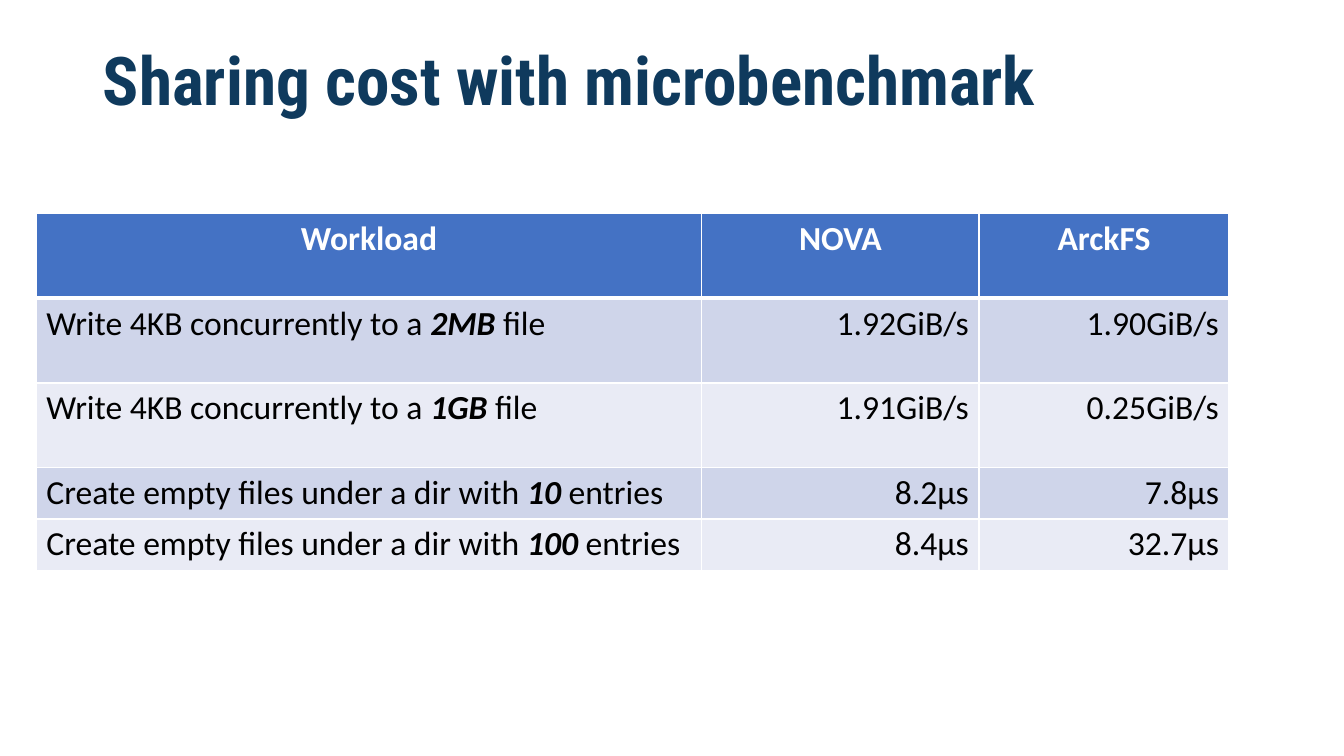
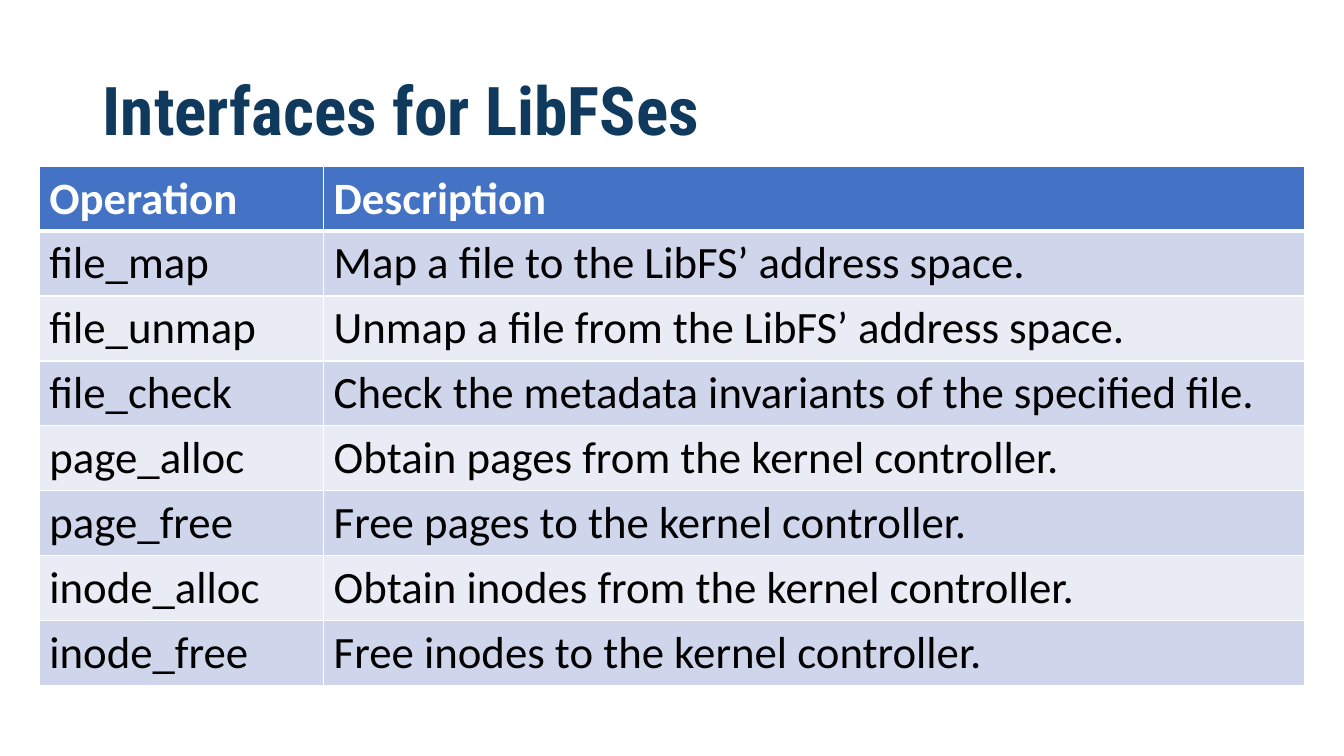
"""Build two table slides about file system sharing cost and interfaces."""
import dataclasses

import lxml.etree
import pptx
import pptx.dml.color
import pptx.enum.text
import pptx.oxml.ns
import pptx.presentation
import pptx.slide
import pptx.table
import pptx.text.text
import pptx.util

Inches = pptx.util.Inches
Align = pptx.enum.text.PP_ALIGN

TITLE_FONT, BODY_FONT = "Roboto Condensed", "Calibri"
NAVY, HEADER_BLUE, WHITE, BLACK = "0F3A5D", "4472C4", "FFFFFF", "000000"
BANDS = ("CFD5EA", "E9EBF5")
EMPHASIS = "*"


@dataclasses.dataclass(frozen=True)
class Column:
    """A table column: heading, width in inches and alignments."""

    heading: str
    width: float
    heading_align: Align = Align.LEFT
    align: Align = Align.LEFT


@dataclasses.dataclass(frozen=True)
class TableSlide:
    """A titled slide with one table; lengths are in inches."""

    title: str
    title_box: tuple[float, float, float, float]
    table_corner: tuple[float, float]
    columns: tuple[Column, ...]
    row_heights: tuple[float, ...]
    records: tuple[tuple[str, ...], ...]
    text_size: int


SHARING_COST = TableSlide(
    title="Sharing cost with microbenchmark",
    title_box=(0.92, 0.4, 11.63, 0.87),
    table_corner=(0.36, 2.12),
    columns=(
        Column("Workload", 6.6, Align.CENTER),
        Column("NOVA", 2.75, Align.CENTER, Align.RIGHT),
        Column("ArckFS", 2.48, Align.CENTER, Align.RIGHT),
    ),
    row_heights=(0.84,) * 3 + (0.51,) * 2,
    records=(
        ("Write 4KB concurrently to a *2MB* file", "1.92GiB/s", "1.90GiB/s"),
        ("Write 4KB concurrently to a *1GB* file", "1.91GiB/s", "0.25GiB/s"),
        ("Create empty files under a dir with *10* entries", "8.2μs", "7.8μs"),
        ("Create empty files under a dir with *100* entries", "8.4μs", "32.7μs"),
    ),
    text_size=24,
)

INTERFACES = TableSlide(
    title="Interfaces for LibFSes",
    title_box=(0.92, 0.4, 11.5, 1.45),
    table_corner=(0.39, 1.65),
    columns=(Column("Operation", 2.82), Column("Description", 9.73)),
    row_heights=(0.64,) * 8,
    records=(
        ("file_map", "Map a file to the LibFS’ address space."),
        ("file_unmap", "Unmap a file from the LibFS’ address space."),
        ("file_check", "Check the metadata invariants of the specified file."),
        ("page_alloc", "Obtain pages from the kernel controller."),
        ("page_free", "Free pages to the kernel controller."),
        ("inode_alloc", "Obtain inodes from the kernel controller."),
        ("inode_free", "Free inodes to the kernel controller."),
    ),
    text_size=32,
)


def rgb(color: str) -> pptx.dml.color.RGBColor:
    """Turn a hex string into a colour."""
    return pptx.dml.color.RGBColor.from_string(color)


def write_text(
    frame: pptx.text.text.TextFrame,
    text: str,
    *,
    font: str = BODY_FONT,
    size: int,
    color: str = BLACK,
    bold: bool = False,
    align: Align = Align.LEFT,
    line_spacing: float | None = None,
) -> None:
    """Write one paragraph, with starred parts in bold italics."""
    paragraph = frame.paragraphs[0]
    paragraph.alignment = align
    paragraph.line_spacing = line_spacing
    for index, part in enumerate(text.split(EMPHASIS)):
        emphasized = index % 2 == 1
        run = paragraph.add_run()
        run.text = part
        run.font.name = font
        run.font.size = pptx.util.Pt(size)
        run.font.color.rgb = rgb(color)
        run.font.bold = bold or emphasized
        run.font.italic = emphasized


def set_borders(cell: pptx.table._Cell, color: str, widths: dict[str, int]) -> None:
    """Draw the cell borders, with widths in points by side."""
    qn = pptx.oxml.ns.qn
    properties = cell._tc.get_or_add_tcPr()
    for side in ("L", "R", "T", "B"):
        width = str(int(pptx.util.Pt(widths.get(side, 1))))
        line = lxml.etree.SubElement(properties, qn(f"a:ln{side}"), w=width)
        fill = lxml.etree.SubElement(line, qn("a:solidFill"))
        lxml.etree.SubElement(fill, qn("a:srgbClr"), val=color)


def add_title(slide: pptx.slide.Slide, content: TableSlide) -> None:
    """Place and format the slide title."""
    title = slide.shapes.title
    title.left, title.top, title.width, title.height = map(Inches, content.title_box)
    frame = title.text_frame
    frame.word_wrap = True
    frame.auto_size = pptx.enum.text.MSO_AUTO_SIZE.NONE
    frame.vertical_anchor = pptx.enum.text.MSO_ANCHOR.MIDDLE
    write_text(frame, content.title, font=TITLE_FONT, size=48, color=NAVY,
               bold=True, line_spacing=0.9)


def add_banded_table(slide: pptx.slide.Slide, content: TableSlide) -> None:
    """Add the table with a blue header row and banded body rows."""
    headings = tuple(column.heading for column in content.columns)
    rows = (headings,) + content.records
    left, top = map(Inches, content.table_corner)
    width = Inches(sum(column.width for column in content.columns))
    height = Inches(sum(content.row_heights))
    table = slide.shapes.add_table(
        len(rows), len(headings), left, top, width, height
    ).table
    for table_column, column in zip(table.columns, content.columns):
        table_column.width = Inches(column.width)
    for table_row, row_height in zip(table.rows, content.row_heights):
        table_row.height = Inches(row_height)
    for row_index, row in enumerate(rows):
        is_header = row_index == 0
        fill = HEADER_BLUE if is_header else BANDS[(row_index - 1) % 2]
        border_widths = {0: {"B": 3}, 1: {"T": 3}}.get(row_index, {})
        for column_index, (text, column) in enumerate(zip(row, content.columns)):
            cell = table.cell(row_index, column_index)
            set_borders(cell, WHITE, border_widths)
            cell.fill.solid()
            cell.fill.fore_color.rgb = rgb(fill)
            write_text(
                cell.text_frame,
                text,
                size=content.text_size,
                color=WHITE if is_header else BLACK,
                bold=is_header,
                align=column.heading_align if is_header else column.align,
            )


def add_table_slide(
    deck: pptx.presentation.Presentation, content: TableSlide
) -> None:
    """Add one title-only slide with its table."""
    slide = deck.slides.add_slide(deck.slide_layouts.get_by_name("Title Only"))
    add_title(slide, content)
    add_banded_table(slide, content)


def main() -> None:
    """Build and save the presentation."""
    deck = pptx.Presentation()
    deck.slide_width, deck.slide_height = Inches(13.33), Inches(7.5)
    for content in (SHARING_COST, INTERFACES):
        add_table_slide(deck, content)
    deck.save("out.pptx")


if __name__ == "__main__":
    main()
